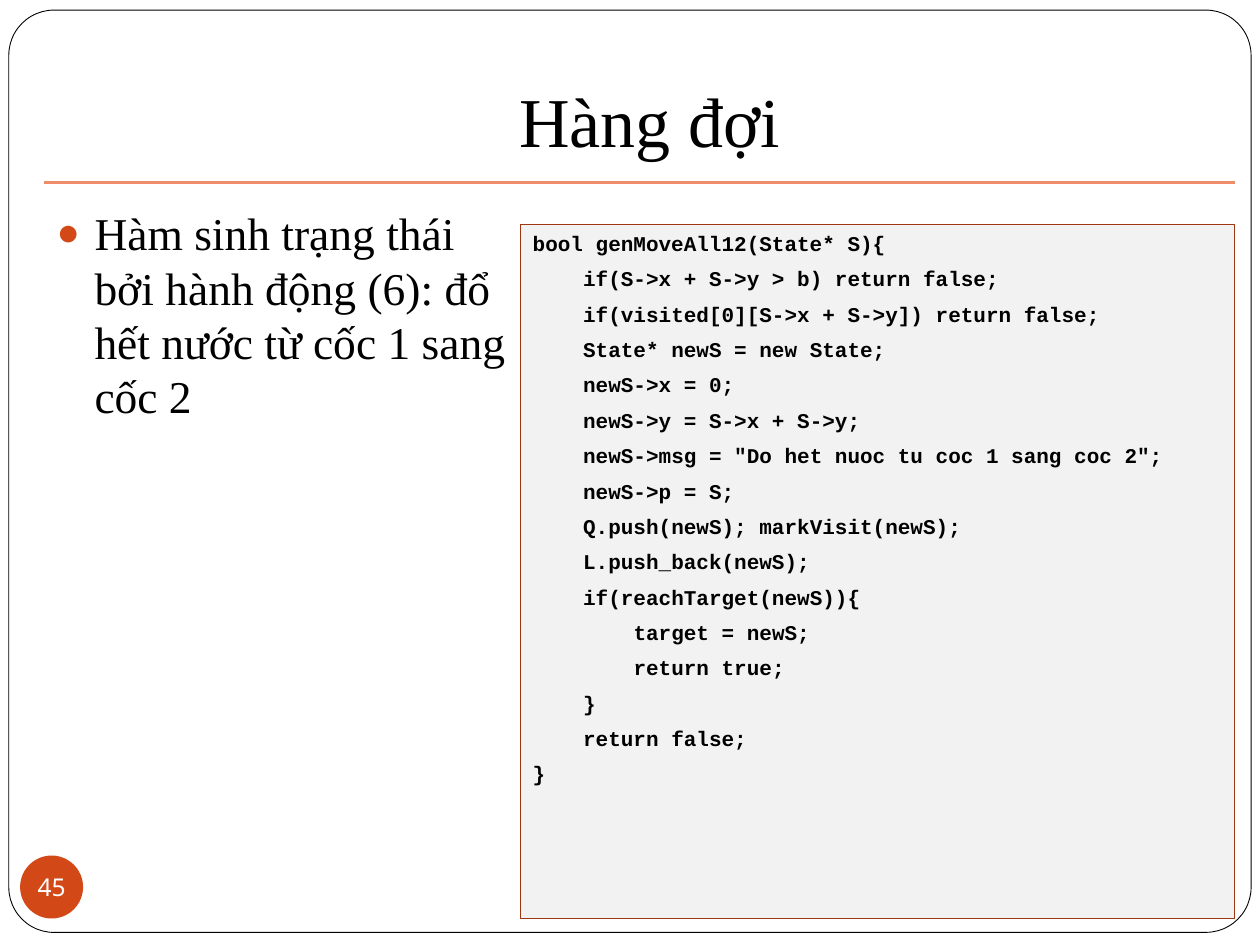
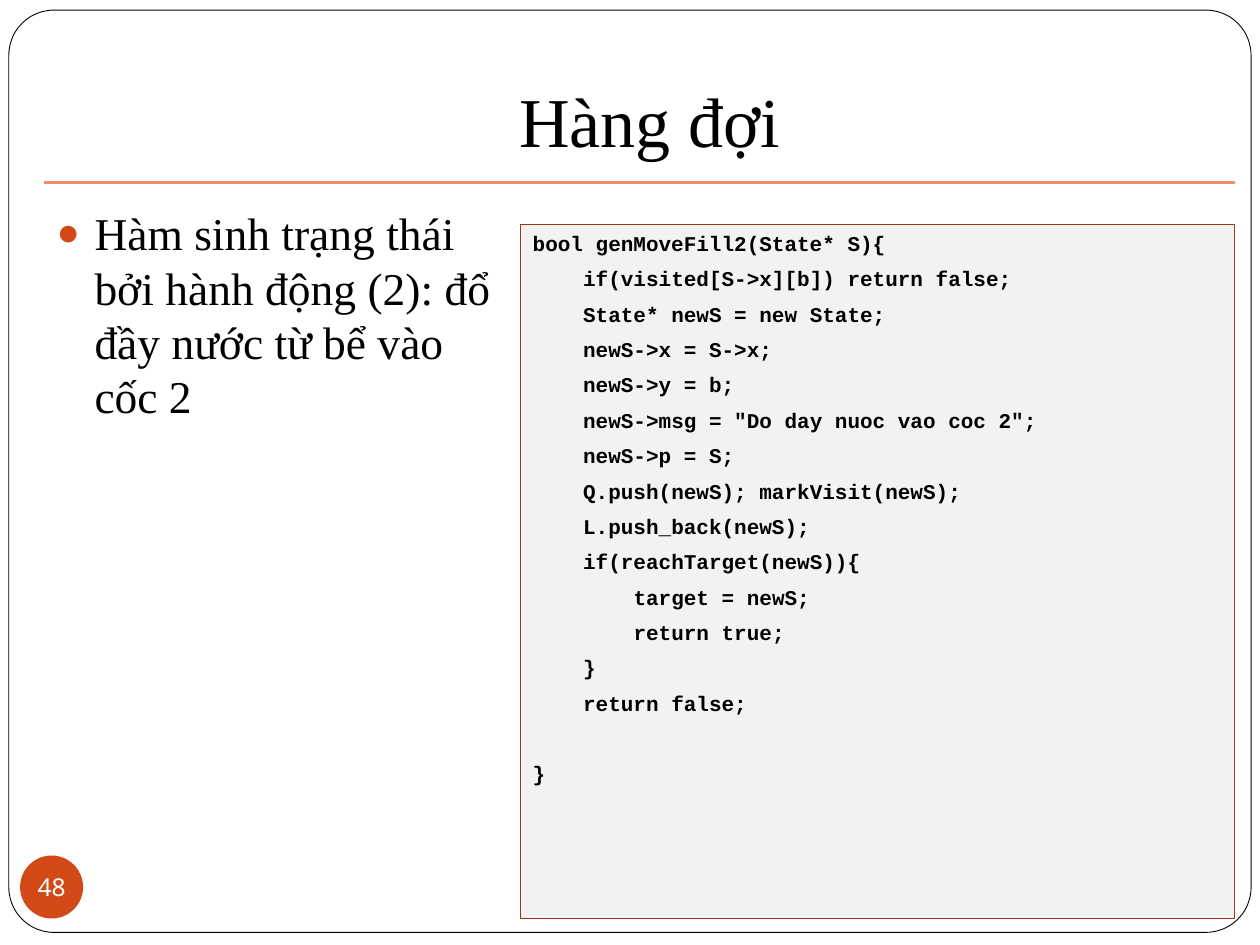
from lxml import etree
from pptx import Presentation
from pptx.dml.color import RGBColor
from pptx.enum.shapes import MSO_CONNECTOR as CONNECTOR, MSO_SHAPE as SHAPE
from pptx.enum.text import MSO_ANCHOR as ANCHOR, MSO_AUTO_SIZE as AUTO_SIZE, PP_ALIGN as ALIGN
from pptx.oxml.ns import qn
from pptx.util import Inches, Pt

BLACK, WHITE = "000000", "FFFFFF"
ACCENT, RULE = "D34817", "EF8C6A"
CODE_FILL, CODE_BORDER = "F2F2F2", "9E3611"
SERIF, MONO, SANS = "Times New Roman", "Courier New", "Noto Sans"

TITLE = "Hàng đợi"
PARAGRAPH_GAP = 5.8
CODE_SIZE = 12
CODE_LEADING = 14.4
CODE_CHARACTER = 0.1  # width in inches of one 12 pt monospaced character

# The steps with which every state generator ends.
COMMON_STEPS = """\
    newS->p = S;
    Q.push(newS); markVisit(newS);
    L.push_back(newS);
    if(reachTarget(newS)){
        target = newS;
        return true;
    }
    return false;
"""

POUR_1_INTO_2 = """\
bool genMoveAll12(State* S){
    if(S->x + S->y > b) return false;
    if(visited[0][S->x + S->y]) return false;
    State* newS = new State;
    newS->x = 0;
    newS->y = S->x + S->y;
    newS->msg = "Do het nuoc tu coc 1 sang coc 2";
""" + COMMON_STEPS + "}"

FILL_2 = """\
bool genMoveFill2(State* S){
    if(visited[S->x][b]) return false;
    State* newS = new State;
    newS->x = S->x;
    newS->y = b;
    newS->msg = "Do day nuoc vao coc 2";
""" + COMMON_STEPS + "\n}"

PAGES = [
    ("45", "Hàm sinh trạng thái bởi hành động (6): đổ hết nước từ cốc 1 sang cốc 2",
     POUR_1_INTO_2),
    ("48", "Hàm sinh trạng thái bởi hành động (2): đổ đầy nước từ bể vào cốc 2",
     FILL_2),
]


def color(value):
    """Turn a hex string into a colour."""
    return RGBColor.from_string(value)


def box(*lengths):
    """Turn left, top, width and height in inches into lengths."""
    return [Inches(length) for length in lengths]


def place(placeholder, *lengths):
    """Move and size a placeholder, in inches."""
    (placeholder.left, placeholder.top,
     placeholder.width, placeholder.height) = box(*lengths)


def style_runs(paragraph, font_name, size, hex_color, bold=False):
    """Format all runs of a paragraph."""
    for run in paragraph.runs:
        run.font.name = font_name
        run.font.size = Pt(size)
        run.font.bold = bold
        run.font.color.rgb = color(hex_color)


def add_panel(slide, preset, bounds, fill, border=None, border_width=0.75):
    """Add a flat filled shape with an optional border."""
    panel = slide.shapes.add_shape(preset, *box(*bounds))
    panel.shadow.inherit = False
    panel.fill.solid()
    panel.fill.fore_color.rgb = color(fill)
    if border:
        panel.line.color.rgb = color(border)
        panel.line.width = Pt(border_width)
    else:
        panel.line.fill.background()
    return panel


def add_frame(slide):
    """Add the rounded page frame behind everything else."""
    frame = add_panel(slide, SHAPE.ROUNDED_RECTANGLE,
                      (0.07, 0.08, 9.86, 7.32), WHITE, BLACK, 0.5)
    frame.adjustments[0] = 0.049
    slide.shapes.element.insert(2, frame.element)


def set_title(slide):
    """Fill the title and draw the rule below it."""
    title = slide.shapes.title
    place(title, 0.51, 0.13, 9.29, 1.25)
    text_frame = title.text_frame
    text_frame.text = TITLE
    text_frame.auto_size = AUTO_SIZE.NONE
    text_frame.vertical_anchor = ANCHOR.BOTTOM
    text_frame.margin_bottom = Inches(0.1)
    heading = text_frame.paragraphs[0]
    heading.alignment = ALIGN.CENTER
    style_runs(heading, SERIF, 40, BLACK)

    rule = slide.shapes.add_connector(CONNECTOR.STRAIGHT, *box(0.35, 1.45, 9.8, 1.45))
    rule.line.color.rgb = color(RULE)
    rule.line.width = Pt(2)
    etree.SubElement(rule.element.spPr, qn("a:effectLst"))


def add_page_badge(slide, number):
    """Add the round page number."""
    badge = add_panel(slide, SHAPE.OVAL, (0.16, 6.79, 0.5, 0.5), ACCENT)
    text_frame = badge.text_frame
    text_frame.text = number
    text_frame.word_wrap = False
    text_frame.vertical_anchor = ANCHOR.MIDDLE
    text_frame.margin_left = text_frame.margin_right = 0
    text_frame.margin_top = text_frame.margin_bottom = 0
    text_frame.paragraphs[0].alignment = ALIGN.CENTER
    style_runs(text_frame.paragraphs[0], SANS, 14, WHITE)


def add_bullet(paragraph):
    """Give a paragraph a hanging round bullet in the accent colour."""
    properties = paragraph._p.get_or_add_pPr()
    properties.set("marL", str(Inches(0.3)))
    properties.set("indent", str(-Inches(0.3)))
    bullet_color = etree.SubElement(properties, qn("a:buClr"))
    etree.SubElement(bullet_color, qn("a:srgbClr"), val=ACCENT)
    etree.SubElement(properties, qn("a:buSzPct"), val="85000")
    etree.SubElement(properties, qn("a:buChar"), char="●")


def set_explanation(slide, explanation):
    """Fill the body with the one bullet that explains the code."""
    body = slide.placeholders[1]
    place(body, 0.35, 1.58, 3.78, 5.47)
    body.text_frame.text = explanation
    body.text_frame.auto_size = AUTO_SIZE.NONE
    paragraph = body.text_frame.paragraphs[0]
    paragraph.space_before = Pt(PARAGRAPH_GAP)
    paragraph.line_spacing = Pt(31.1)
    add_bullet(paragraph)
    style_runs(paragraph, SERIF, 26, BLACK)


def add_code(slide, code):
    """Add the code panel; indents and empty lines become paragraph spacing."""
    panel = add_panel(slide, SHAPE.RECTANGLE, (4.13, 1.78, 5.67, 5.51),
                      CODE_FILL, CODE_BORDER)
    text_frame = panel.text_frame
    text_frame.word_wrap = True
    text_frame.vertical_anchor = ANCHOR.TOP
    lines = code.splitlines()
    text_frame.text = "\n".join(line.strip() for line in lines if line)
    paragraphs = iter(text_frame.paragraphs)
    gap = PARAGRAPH_GAP
    for line in lines:
        if not line:
            gap += CODE_LEADING + PARAGRAPH_GAP
            continue
        paragraph = next(paragraphs)
        depth = len(line) - len(line.lstrip())
        paragraph._p.get_or_add_pPr().set("marL", str(Inches(depth * CODE_CHARACTER)))
        paragraph.alignment = ALIGN.LEFT
        paragraph.space_before = Pt(gap)
        paragraph.line_spacing = Pt(CODE_LEADING)
        style_runs(paragraph, MONO, CODE_SIZE, BLACK, bold=True)
        gap = PARAGRAPH_GAP


def main():
    """Build the slides and save them."""
    presentation = Presentation()
    presentation.slide_width, presentation.slide_height = Inches(10), Inches(7.5)
    for number, explanation, code in PAGES:
        slide = presentation.slides.add_slide(presentation.slide_layouts[1])
        add_frame(slide)
        set_title(slide)
        add_page_badge(slide, number)
        set_explanation(slide, explanation)
        add_code(slide, code)
    presentation.save("out.pptx")


main()
